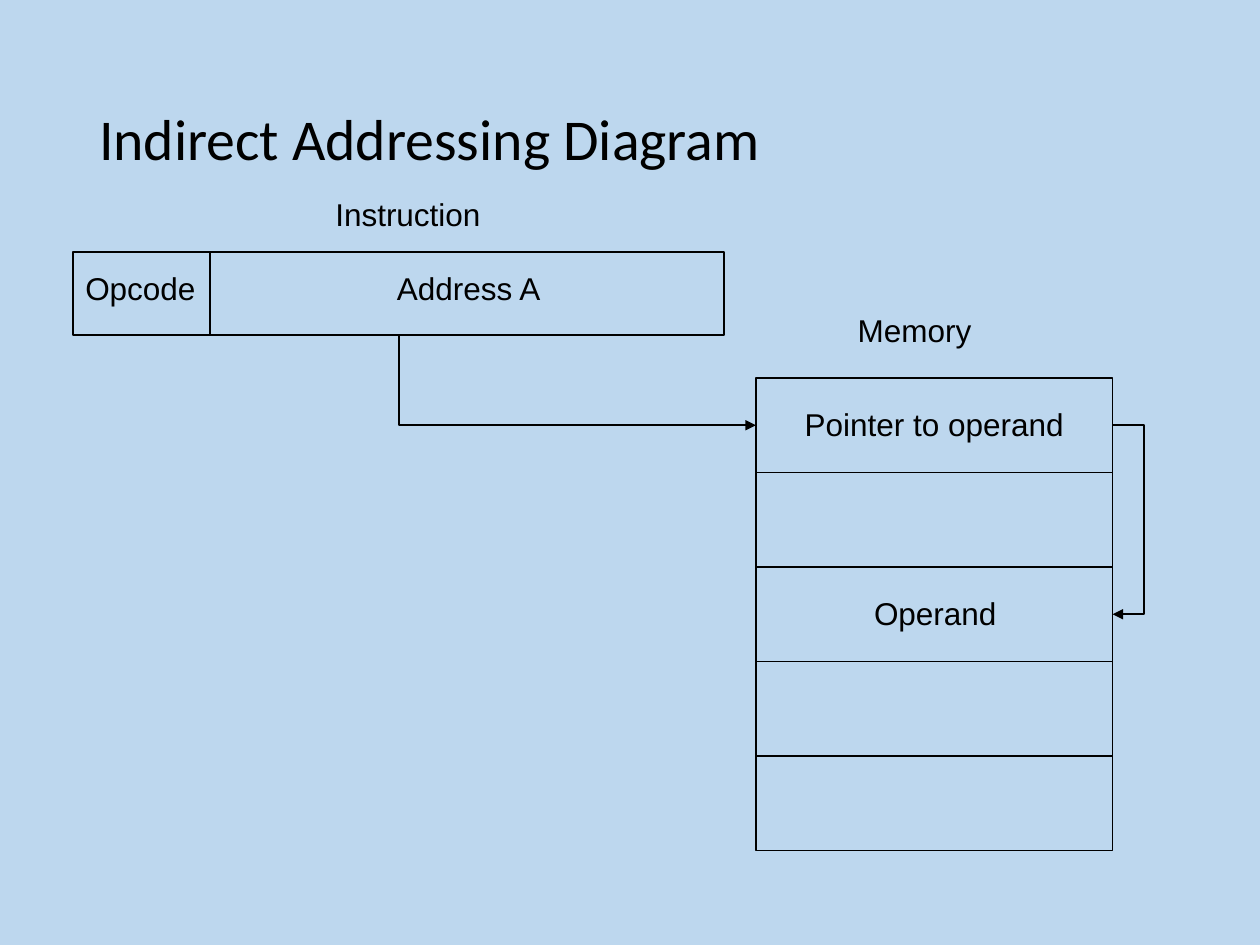
from typing import NamedTuple

from lxml import etree
from pptx import Presentation
from pptx import util as u
from pptx.dml.color import RGBColor
from pptx.enum import shapes, text
from pptx.oxml.ns import qn

INK = "000000"
SKY = "BDD7EE"


class Label(NamedTuple):
    words: str
    left: float
    top: float
    width: float


class Box(NamedTuple):
    left: float
    top: float
    width: float
    height: float

    @property
    def right(self) -> float:
        return self.left + self.width

    @property
    def base(self) -> float:
        return self.top + self.height

    @property
    def middle(self) -> float:
        return self.top + self.height / 2


def paint(color, code: str) -> None:
    color.rgb = RGBColor.from_string(code)


def draw_line(shape) -> None:
    paint(shape.line.color, INK)
    shape.line.width = u.Pt(1)


def draw_box(parent, box: Box) -> None:
    shape = parent.add_shape(shapes.MSO_SHAPE.RECTANGLE, *map(u.Cm, box))
    shape.shadow.inherit = False
    shape.fill.background()
    draw_line(shape)


def draw_rule(parent, x: float, top: float, base: float) -> None:
    rule = parent.add_connector(shapes.MSO_CONNECTOR.STRAIGHT,
                                u.Cm(x), u.Cm(top), u.Cm(x), u.Cm(base))
    draw_line(rule)
    etree.SubElement(rule._element.spPr, qn("a:effectLst"))


def draw_arrow(parent, points: list[tuple[float, float]]) -> None:
    start, *rest = [(u.Cm(x), u.Cm(y)) for x, y in points]
    path = parent.build_freeform(*start)
    path.add_line_segments(rest, close=False)
    shape = path.convert_to_shape()
    shape.shadow.inherit = False
    shape.fill.background()
    draw_line(shape)
    etree.SubElement(shape.line._get_or_add_ln(), qn("a:tailEnd"), type="triangle")


def write(parent, label: Label, height: float, face: str, size: int):
    area = parent.add_textbox(u.Cm(label.left), u.Cm(label.top),
                              u.Cm(label.width), u.Cm(height))
    frame = area.text_frame
    frame.text = label.words
    font = frame.paragraphs[0].runs[0].font
    font.name, font.size = face, u.Pt(size)
    paint(font.color, INK)
    return frame


def draw_label(parent, label: Label) -> None:
    frame = write(parent, label, 1.02, "Arial", 18)
    frame.word_wrap = False
    frame.auto_size = text.MSO_AUTO_SIZE.SHAPE_TO_FIT_TEXT


def main() -> None:
    deck = Presentation()
    deck.slide_width, deck.slide_height = u.Cm(25.4), u.Cm(19.05)
    slide = deck.slides.add_slide(deck.slide_layouts[6])
    slide.background.fill.solid()
    paint(slide.background.fill.fore_color, SKY)
    tree = slide.shapes

    # Title
    title = write(tree, Label("Indirect Addressing Diagram", 1.75, 1.02, 21.92),
                  3.68, "Calibri", 33)
    title.word_wrap = True
    title.vertical_anchor = text.MSO_ANCHOR.MIDDLE
    title.paragraphs[0].line_spacing = 0.9

    # Instruction word, split into opcode and address
    word = Box(1.48, 5.08, 13.12, 1.68)
    group = tree.add_group_shape().shapes
    draw_box(group, word)
    draw_rule(group, 4.24, word.top, word.base)

    # Memory cells
    step = 7.62 / 4
    cells = [Box(15.24, 7.62 + step * row, 7.19, step) for row in range(5)]
    for cell in cells:
        draw_box(tree, cell)

    # Arrows: address to pointer, pointer to operand
    source, target = cells[0], cells[2]
    bend = word.left + word.width / 2
    draw_arrow(tree, [(bend, word.base), (bend, source.middle),
                      (source.left, source.middle)])
    side = source.right + 0.64
    draw_arrow(tree, [(source.right, source.middle), (side, source.middle),
                      (side, target.middle), (target.right, target.middle)])

    # Labels
    for label in (
        Label("Instruction", 6.51, 3.81, 3.45),
        Label("Opcode", 1.47, 5.29, 2.8),
        Label("Address A", 7.75, 5.29, 3.45),
        Label("Memory", 17.04, 6.15, 2.85),
        Label("Pointer to operand", 15.97, 8.04, 5.76),
        Label("Operand", 17.37, 11.86, 3.03),
    ):
        draw_label(tree, label)

    deck.save("out.pptx")


if __name__ == "__main__":
    main()
